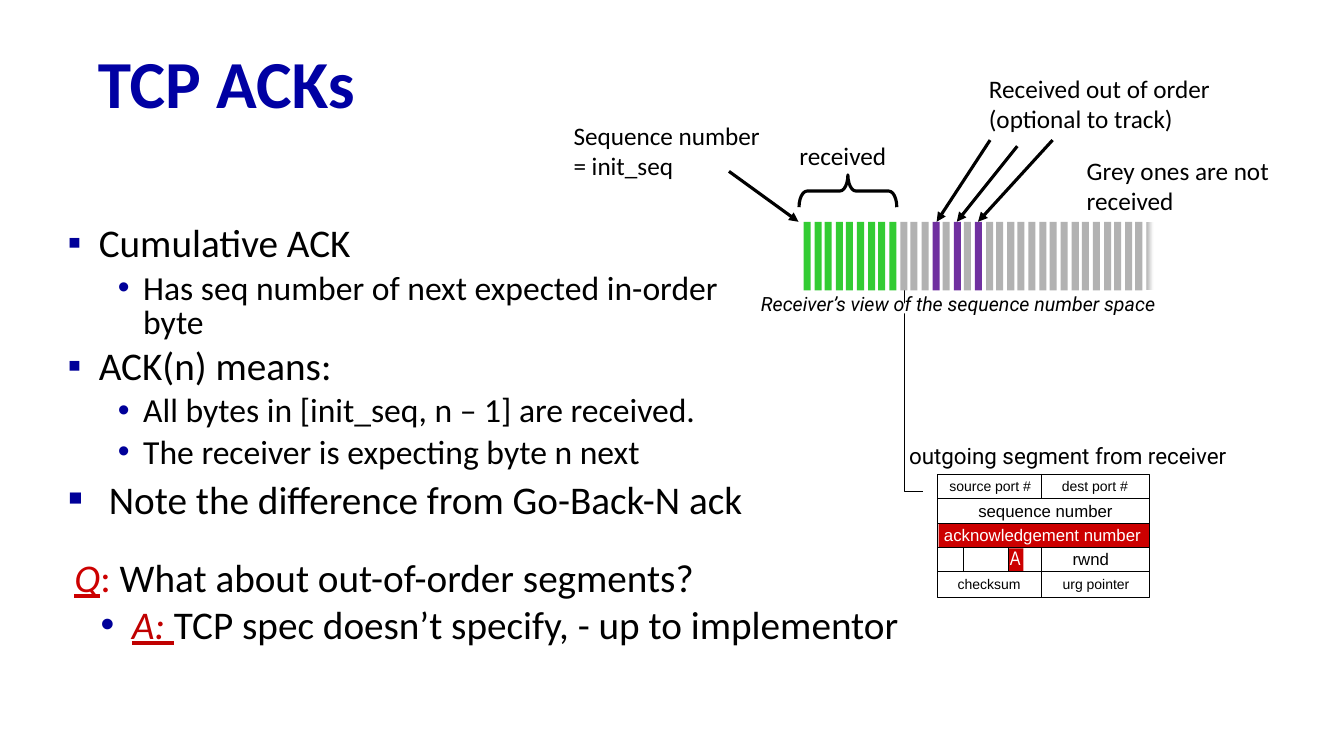
from lxml.etree import SubElement
from pptx import Presentation
from pptx.dml.color import RGBColor
from pptx.enum.shapes import MSO_CONNECTOR, MSO_SHAPE as Preset
from pptx.enum.text import MSO_ANCHOR, MSO_AUTO_SIZE, PP_ALIGN as Align
from pptx.oxml.ns import qn
from pptx.util import Pt

PX = 9144  # EMU per px, 100 px to the inch

BLACK, WHITE = RGBColor(0, 0, 0), RGBColor(255, 255, 255)
TITLE_BLUE = RGBColor(0x00, 0x00, 0xA3)
BULLET_BLUE = RGBColor(0x00, 0x00, 0x99)
RED, DARK_RED = RGBColor(0xCC, 0, 0), RGBColor(0xC0, 0, 0)
GREEN = RGBColor(0x33, 0xCC, 0x33)
GREY = RGBColor(0xB2, 0xB2, 0xB2)
PURPLE = RGBColor(0x70, 0x30, 0xA0)

TITLE = "TCP ACKs"
# level, runs of (text, format)
POINTS = [
    (0, [("Cumulative ACK", {})]),
    (1, [("Has seq number of next expected in-order byte", {})]),
    (0, [("ACK(n) means:", {})]),
    (1, [("All bytes in [init_seq, n – 1] are received.", {})]),
    (1, [("The receiver is expecting byte n next", {})]),
    (0, [(" ", {"size": 32}), ("Note the difference from Go-Back-N ack", {})]),
]
QUESTION = [("Q", {"color": RED, "italic": True, "underline": True}),
            (":", {"color": RED}),
            (" What about out-of-order segments?", {})]
ANSWER = [("A: ", {"color": DARK_RED, "italic": True, "underline": True}),
          ("TCP spec doesn’t specify, - up to implementor", {})]

# text, left, top, width, height
NOTES = [
    ("Received out of order (optional to track)", 971, 68, 257, 71),
    ("Grey ones are not received", 1068, 149, 210, 71),
    ("Sequence number = init_seq", 559, 114, 213, 71),
    ("received", 783, 134, 114, 40),
]
# from x, from y, to x, to y
ARROWS = [(1009, 145, 949, 220), (982, 139, 929, 220),
          (1044, 139, 970, 220), (723, 170, 792, 220)]

BAR_COLORS = [GREEN] * 9 + [GREY] * 2 + [GREY, PURPLE] * 3 + [GREY] * 16
BARS_LEFT, BARS_TOP, BAR_WIDTH, BAR_HEIGHT = 797, 220, 7, 68
LAST_BAR_LEFT = 1137

SEGMENT_LEFT, SEGMENT_TOP, SEGMENT_WIDTH, SEGMENT_HEIGHT = 930, 471, 210, 122
SEGMENT_RIGHT, SEGMENT_MIDDLE = SEGMENT_LEFT + SEGMENT_WIDTH, 1033
ROW_LINES = [495, 519, 543, 567]
# x, top, bottom
COLUMN_LINES = [(SEGMENT_MIDDLE, 470, 495), (SEGMENT_MIDDLE, 543, 592),
                (1000, 543, 566), (956, 543, 566)]
# text, centre x, top, height, format
FIELDS = [
    ("source port #", 982, 469, 27, {"size": 10}),
    ("dest port #", 1086, 469, 27, {"size": 10}),
    ("sequence number", 1037, 492, 30, {"size": 12}),
    ("acknowledgement number", 1034, 516, 30, {"size": 12, "color": WHITE}),
    ("A", 1007, 537, 33, {"size": 14, "font": "Arial Narrow", "color": WHITE}),
    ("rwnd", 1082, 539, 30, {"size": 12}),
    ("checksum", 981, 566, 27, {"size": 10}),
    ("urg pointer", 1087, 566, 27, {"size": 10}),
]


def scaled(*lengths):
    return [length * PX for length in lengths]


def write(paragraph, text, size=18, font="Calibri", color=BLACK,
          bold=False, italic=False, underline=False):
    run = paragraph.add_run()
    run.text = text
    run.font.size, run.font.name = Pt(size), font
    run.font.bold, run.font.italic, run.font.underline = bold, italic, underline
    run.font.color.rgb = color


def write_item(paragraph, runs, size, left, indent, bullet=None, before=0):
    """Fill one list paragraph; left and indent are in px."""
    properties = paragraph._p.get_or_add_pPr()
    properties.set("marL", str(left * PX))
    properties.set("indent", str(indent * PX))
    if bullet:
        color = SubElement(properties, qn("a:buClr"))
        SubElement(color, qn("a:srgbClr")).set("val", str(BULLET_BLUE))
        SubElement(properties, qn("a:buFont")).set("typeface", "Arial")
        SubElement(properties, qn("a:buChar")).set("char", bullet)
    paragraph.line_spacing = 0.85
    paragraph.space_before = Pt(before)
    for text, style in runs:
        write(paragraph, text, **{"size": size, **style})


def add_box(slide, left, top, width, height, wrap=True):
    box = slide.shapes.add_textbox(*scaled(left, top, width, height))
    box.text_frame.word_wrap = wrap
    return box.text_frame


def add_label(slide, text, left, top, width, height, align=Align.LEFT, wrap=True, **style):
    paragraph = add_box(slide, left, top, width, height, wrap).paragraphs[0]
    paragraph.alignment = align
    write(paragraph, text, **style)


def add_shape(slide, left, top, width, height, fill=None, line=None, preset=Preset.RECTANGLE):
    shape = slide.shapes.add_shape(preset, *scaled(left, top, width, height))
    shape.shadow.inherit = False
    if fill is None:
        shape.fill.background()
    else:
        shape.fill.solid()
        shape.fill.fore_color.rgb = fill
    if line is None:
        shape.line.fill.background()
    else:
        shape.line.color.rgb, shape.line.width = BLACK, Pt(line)
    return shape


def add_line(slide, x1, y1, x2, y2, width=0.75, arrow=False):
    connector = slide.shapes.add_connector(MSO_CONNECTOR.STRAIGHT, *scaled(x1, y1, x2, y2))
    connector.line.color.rgb, connector.line.width = BLACK, Pt(width)
    if arrow:
        SubElement(connector.line._get_or_add_ln(), qn("a:tailEnd")).set("type", "triangle")
    SubElement(connector._element.spPr, qn("a:effectLst"))


def place(placeholder, left, top, width, height, anchor):
    placeholder.left, placeholder.top, placeholder.width, placeholder.height = scaled(
        left, top, width, height)
    frame = placeholder.text_frame
    frame.auto_size, frame.vertical_anchor = MSO_AUTO_SIZE.NONE, anchor
    return frame


def add_lists(slide):
    title = place(slide.shapes.title, 87, 32, 1246, 98, MSO_ANCHOR.MIDDLE).paragraphs[0]
    title.alignment = Align.LEFT
    write(title, TITLE, size=48, color=TITLE_BLUE, bold=True)

    body = place(slide.placeholders[1], 57, 219, 712, 312, MSO_ANCHOR.TOP)
    for index, (level, runs) in enumerate(POINTS):
        paragraph = body.add_paragraph() if index else body.paragraphs[0]
        paragraph.level = level
        size, left, indent, bullet = [(28, 31, -31, "▪"), (24, 75, -25, "•")][level]
        write_item(paragraph, runs, size, left, indent, bullet, before=5 if index else 0)

    answers = add_box(slide, 52, 551, 876, 189)
    write_item(answers.paragraphs[0], QUESTION, 28, 26, -14)
    answer = answers.add_paragraph()
    answer.level = 1
    write_item(answer, ANSWER, 28, 69, -31, "•", before=5)


def add_segment(slide):
    add_shape(slide, 931, 520, 209, 23, fill=RED)
    add_shape(slide, 1000, 544, 15, 23, fill=RED)
    add_shape(slide, SEGMENT_LEFT, SEGMENT_TOP, SEGMENT_WIDTH, SEGMENT_HEIGHT, line=0.75)
    for y in ROW_LINES:
        add_line(slide, SEGMENT_LEFT, y, SEGMENT_RIGHT, y)
    for x, top, bottom in COLUMN_LINES:
        add_line(slide, x, top, x, bottom)
    for text, center, top, height, style in FIELDS:
        add_label(slide, text, center - 110, top, 220, height, Align.CENTER,
                  **{"font": "Arial", **style})
    add_label(slide, "outgoing segment from receiver", 890, 434, 338, 37,
              Align.CENTER, wrap=False, size=16, font="Roboto")
    builder = slide.shapes.build_freeform(915, 488, scale=PX)
    builder.add_line_segments([(897, 488), (897, 280)], close=False)
    pointer = builder.convert_to_shape()
    pointer.shadow.inherit = False
    pointer.fill.background()
    pointer.line.color.rgb, pointer.line.width = BLACK, Pt(0.75)


def add_sequence_space(slide):
    pitch = (LAST_BAR_LEFT - BARS_LEFT) / (len(BAR_COLORS) - 1)
    for index, color in enumerate(BAR_COLORS):
        left = BARS_LEFT + round(index * pitch)
        bar = add_shape(slide, left, BARS_TOP, BAR_WIDTH, BAR_HEIGHT, fill=color)
    bar.fill.gradient()
    bar.fill.gradient_angle = 0
    for stop, position, color in zip(bar.fill.gradient_stops, (0, 1), (GREY, WHITE)):
        stop.position, stop.color.rgb = position, color
    add_shape(slide, 782, 301, 373, 10, fill=WHITE)
    add_label(slide, "Receiver’s view of the sequence number space", 735, 285, 431, 34,
              Align.CENTER, wrap=False, size=14, font="Roboto", italic=True)
    for arrow in ARROWS:
        add_line(slide, *arrow, width=2.25, arrow=True)
    brace = add_shape(slide, 825, 141, 32, 97, line=2.25, preset=Preset.RIGHT_BRACE)
    brace.rotation = 270
    brace.adjustments[0], brace.adjustments[1] = 0.25, 0.5
    for note in NOTES:
        add_label(slide, *note)


def main():
    presentation = Presentation()
    presentation.slide_width, presentation.slide_height = scaled(1333, 750)
    slide = presentation.slides.add_slide(presentation.slide_layouts[1])
    add_segment(slide)
    add_sequence_space(slide)
    add_lists(slide)
    presentation.save("out.pptx")


if __name__ == "__main__":
    main()
